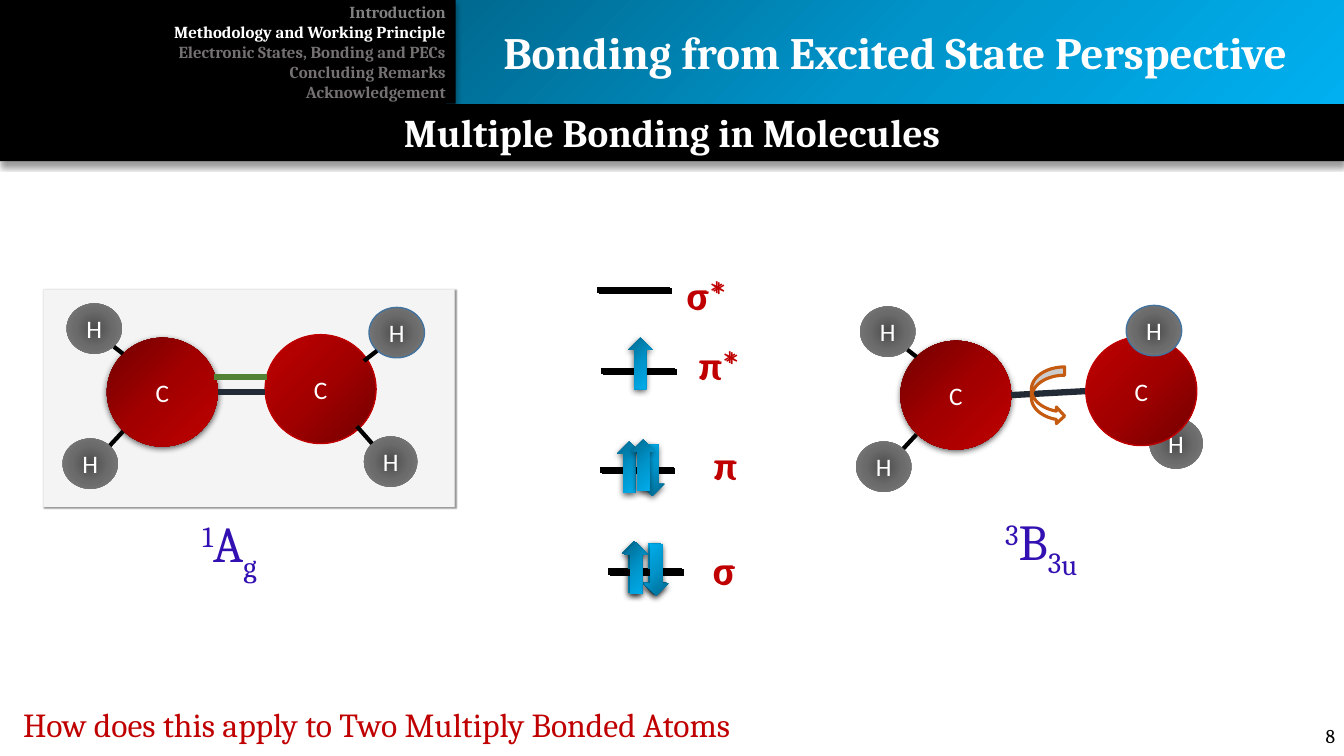
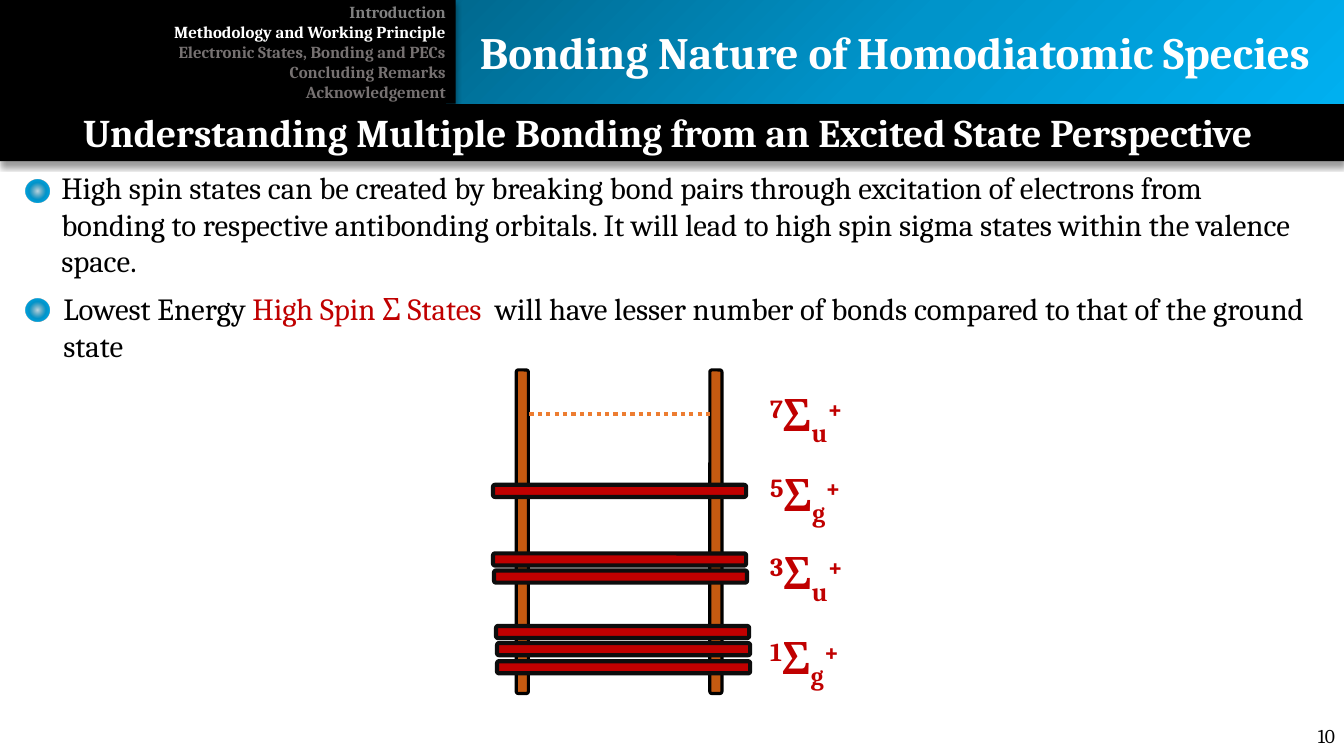
from lxml import etree
from pptx import Presentation
from pptx.dml.color import RGBColor
from pptx.enum import dml, shapes, text
from pptx.oxml import ns
from pptx.util import Inches, Pt

KIND = shapes.MSO_SHAPE
LEFT, MID, RIGHT = text.PP_ALIGN.LEFT, text.PP_ALIGN.CENTER, text.PP_ALIGN.RIGHT
SERIF, SANS = "Cambria", "Calibri"
BLACK, WHITE, RED, RUST, INK = "000000", "FFFFFF", "C00000", "C55A11", "3310B2"
SLATE, GREEN, ORANGE, STEEL = "222A35", "548235", "ED7D31", "43739E"
BLUES = ("00688E", "0094CA", "00B0F0")
REDS = ("720000", "A20000", "C00000")
GREYS = ("4C4C4C", "6B6B6B", "808080")
SLANT = '<a:lin ang="2700000" scaled="1"/>'
CENTRE = ('<a:path path="circle"><a:fillToRect l="50000" t="50000" '
          'r="50000" b="50000"/></a:path>')
CORNER = '<a:path path="circle"><a:fillToRect l="100000" t="100000"/></a:path>'
# Shadows: opacity %, blur pt, distance pt, angle
DEEP, SOFT, EDGE = (40, 4, 3, 90), (63, 4.5, 1.5, 90), (40, 1, 1, 45)
NAV = (("Introduction", "808080"),
       ("Methodology and Working Principle", WHITE),
       ("Electronic States, Bonding and PECs", "767171"),
       ("Concluding Remarks", "767171"),
       ("Acknowledgement", "767171"))


def rgb(code):
    return RGBColor.from_string(code)


def node(tag, body, attrs=""):
    """Build a drawing element from its inner XML."""
    return etree.fromstring(
        f'<a:{tag} {ns.nsdecls("a")} {attrs}>{body}</a:{tag}>')


class Deck:
    """Holds the shared style and the slide being drawn."""

    def __init__(self):
        self.prs = Presentation()
        self.prs.slide_width = Inches(13.33)
        self.prs.slide_height = Inches(7.5)
        self.slide = None

    def start(self, title, topic, page):
        """Add a slide with its bands, outline and page number."""
        self.slide = self.prs.slides.add_slide(self.prs.slide_layouts[6])
        band = self.shape(KIND.RECTANGLE, (0, 1.02, 13.33, 0.58), BLACK, shade=DEEP)
        self.letter(band, topic, 28, WHITE, bold=True, align=MID)
        head = self.shape(KIND.RECTANGLE, (4.43, 0, 8.9, 1.03), BLUES, shade=DEEP)
        self.letter(head, title, 32, WHITE, bold=True, align=MID)
        nav = self.shape(KIND.RECTANGLE, (0, 0, 4.52, 1.03), BLACK, shade=DEEP)
        self.letter(nav, "\n".join(name for name, _ in NAV), 12, WHITE,
                    bold=True, align=RIGHT)
        for para, (_, tone) in zip(nav.text_frame.paragraphs, NAV):
            para.runs[0].font.color.rgb = rgb(tone)
        foot = self.label((12.44, 7.1, 0.9, 0.4), str(page), 14, BLACK, align=RIGHT)
        foot.text_frame.vertical_anchor = text.MSO_ANCHOR.MIDDLE

    def shape(self, kind, box, fill, line=None, width=1, shade=None, flow=SLANT):
        """Add a preset shape; a tuple of colours as fill makes a gradient."""
        item = self.slide.shapes.add_shape(kind, *map(Inches, box))
        item.shadow.inherit = False
        if isinstance(fill, tuple):
            self.blend(item, fill, flow)
        else:
            item.fill.solid()
            item.fill.fore_color.rgb = rgb(fill)
        if line:
            item.line.color.rgb = rgb(line)
            item.line.width = Pt(width)
        else:
            item.line.fill.background()
        if shade:
            self.shade(item, *shade)
        return item

    def blend(self, item, tones, flow):
        """Fill with evenly spaced stops; a stop may be (colour, opacity %)."""
        stops = ""
        for i, tone in enumerate(tones):
            code, part = tone if isinstance(tone, tuple) else (tone, 100)
            stops += (f'<a:gs pos="{i * 50000}"><a:srgbClr val="{code}">'
                      f'<a:alpha val="{part * 1000}"/></a:srgbClr></a:gs>')
        item.fill.background()
        props = item._element.spPr
        props.replace(props.find(ns.qn("a:noFill")),
                      node("gradFill", f"<a:gsLst>{stops}</a:gsLst>{flow}",
                           'rotWithShape="1"'))

    def shade(self, item, part, blur, dist, angle):
        """Give the shape an outer shadow."""
        attrs = (f'blurRad="{Pt(blur)}" dist="{Pt(dist)}" '
                 f'dir="{angle * 60000}" algn="t" rotWithShape="0"')
        tone = (f'<a:srgbClr val="{BLACK}">'
                f'<a:alpha val="{part * 1000}"/></a:srgbClr>')
        item._element.spPr.find(ns.qn("a:effectLst")).append(
            node("outerShdw", tone, attrs))

    def letter(self, item, words, size, tone, font=SERIF, bold=False, align=LEFT):
        """Set text in one style; words may be a list of (text, baseline %, colour)."""
        frame = item.text_frame
        if isinstance(words, str):
            frame.text = words
        else:
            for part, base, hue in words:
                run = frame.paragraphs[0].add_run()
                run.text = part
                run.font.color.rgb = rgb(hue)
                if base:
                    run._r.get_or_add_rPr().set("baseline", str(base * 1000))
        for para in frame.paragraphs:
            para.alignment = align
            for run in para.runs:
                run.font.name, run.font.size, run.font.bold = font, Pt(size), bold
                if isinstance(words, str):
                    run.font.color.rgb = rgb(tone)

    def label(self, box, words, size, tone, wrap=True, **style):
        item = self.slide.shapes.add_textbox(*map(Inches, box))
        item.text_frame.word_wrap = wrap
        self.letter(item, words, size, tone, **style)
        return item

    def term(self, item, parts, size, tone, bold=False):
        """Set a term symbol from (text, baseline %) parts."""
        self.letter(item, [(*part, tone) for part in parts], size, tone, bold=bold)

    def line(self, x1, y1, x2, y2, tone=BLACK, width=3.0, dash=None):
        item = self.slide.shapes.add_connector(
            shapes.MSO_CONNECTOR.STRAIGHT, *map(Inches, (x1, y1, x2, y2)))
        item.line.color.rgb = rgb(tone)
        item.line.width = Pt(width)
        if dash:
            item.line.dash_style = dash
        item._element.spPr.append(node("effectLst", ""))

    def atom(self, name, x, y, line=None, wide=0.55, shade=None, flow=CENTRE):
        """Draw a carbon or hydrogen ball."""
        wide, high, tones = (1.1, 1.08, REDS) if name == "C" else (wide, 0.5, GREYS)
        ball = self.shape(KIND.OVAL, (x, y, wide, high), tones, line,
                          shade=shade, flow=flow)
        self.letter(ball, name, 18, WHITE, font=SANS, align=MID)

    def half(self, dx, dy):
        """Draw the left CH2 group, moved by dx and dy."""
        self.atom("C", 1.06 + dx, 3.35 + dy, shade=SOFT, flow=SLANT)
        self.atom("H", 0.66 + dx, 3.01 + dy)
        self.atom("H", 0.62 + dx, 4.35 + dy)
        self.line(1.13 + dx, 3.44 + dy, 1.22 + dx, 3.51 + dy)
        self.line(1.09 + dx, 4.42 + dy, 1.22 + dx, 4.28 + dy)

    def spin(self, x, y, down=False):
        """Draw an electron arrow."""
        item = self.shape(KIND.UP_ARROW, (x, y, 0.24, 0.51), BLUES, shade=SOFT)
        item.rotation = 180 if down else 0

    def bar(self, x, y, wide, high, tone, edge, width):
        self.shape(KIND.ROUNDED_RECTANGLE, (x, y, wide, high), tone, edge, width)


def bonds(deck):
    deck.start("Bonding from Excited State Perspective",
               "Multiple Bonding in Molecules", 8)
    deck.label((0.13, 6.93, 8.22, 0.5),
               "How does this apply to Two Multiply Bonded Atoms", 24, RED)

    deck.shape(KIND.RECTANGLE, (0.43, 2.87, 4.08, 2.16), "F4F4F4", shade=EDGE)
    deck.half(0, 0)
    deck.atom("C", 2.63, 3.32, RED, flow=CORNER)
    deck.atom("H", 3.66, 3.05, STEEL)
    deck.atom("H", 3.61, 4.33, wide=0.53)
    deck.line(2.12, 3.74, 2.65, 3.74, GREEN, 4.5)
    deck.line(2.16, 3.89, 2.63, 3.89, SLATE, 4.5)
    deck.line(3.61, 3.58, 3.74, 3.48)
    deck.line(3.69, 4.4, 3.54, 4.23)

    deck.half(7.87, 0.03)
    deck.atom("H", 11.4, 4.15, wide=0.53)
    deck.line(10.03, 3.92, 10.77, 3.88, SLATE, 4.5)
    deck.atom("C", 10.77, 3.34, RED, flow=CORNER)
    deck.atom("H", 11.17, 3.03, STEEL)
    twist = deck.shape(KIND.CURVED_LEFT_ARROW, (10.23, 3.64, 0.33, 0.57),
                       WHITE, RUST, 2.25)
    twist._element.spPr.xfrm.set("flipH", "1")

    for box, parts in (
            ((1.91, 5.08, 1.28, 0.71), (("1", 30), ("A", 0), ("g", -30))),
            ((9.87, 5.06, 1.35, 0.71),
             (("3", 30), ("B", 0), ("3", -25), ("u", -30)))):
        deck.term(deck.shape(KIND.RECTANGLE, box, WHITE), parts, 36, INK)

    levels = (("σ*", 5.92, 2.88, 6.71, 2.63, 0.73),
              ("π*", 5.96, 3.68, 6.83, 3.33, 0.62),
              ("π", 5.95, 4.66, 6.98, 4.32, 0.42),
              ("σ", 6.03, 5.67, 6.97, 5.36, 0.42))
    for dx, dy in ((0, 0), (0.02, 0.01)):
        for name, x, y, left, top, wide in levels:
            deck.line(x + dx, y + dy, x + dx + 0.73, y + dy, width=4.5)
            deck.label((left + dx, top + dy, wide, 0.57), name, 28, RED,
                       wrap=name == "σ*", font=SANS)
        deck.spin(6.17 + dx, 5.37 + dy)
        deck.spin(6.37 + dx, 5.39 + dy, down=True)
    deck.spin(6.35, 4.41, down=True)
    for x, y in ((6.12, 4.38), (6.26, 4.36), (6.23, 3.35)):
        deck.spin(x, y)


def ladder(deck):
    deck.start("Bonding Nature of Homodiatomic Species",
               "Understanding Multiple Bonding from an Excited State Perspective ", 10)
    deck.label((0.51, 1.62, 12.54, 1.21),
               "High spin states can be created by breaking bond pairs through "
               "excitation of electrons from bonding to respective antibonding "
               "orbitals. It will lead to high spin sigma states within the "
               "valence space.", 22, BLACK)
    deck.label((0.53, 2.83, 12.54, 0.84),
               [("Lowest Energy ", 0, BLACK), ("High Spin Σ States  ", 0, RED),
                ("will have lesser number of bonds compared to that of the "
                 "ground state", 0, BLACK)], 22, BLACK)
    for y in (1.78, 2.96):
        deck.shape(KIND.OVAL, (0.25, y, 0.24, 0.23),
                   ((BLUES[0], 26), *BLUES[1:]), flow=CENTRE)

    for x in (5.12, 7.04):
        deck.bar(x, 3.67, 0.12, 3.21, RUST, BLACK, 2.25)
    deck.line(5.25, 4.11, 7.04, 4.11, ORANGE, 3, dml.MSO_LINE.ROUND_DOT)
    states = (("7", "u", 3.79, ()),
              ("5", "g", 4.58, ((4.89, 4.81),)),
              ("3", "u", 5.36, ((4.89, 5.49), (4.9, 5.66))),
              ("1", "g", 6.2, ((4.92, 6.21), (4.93, 6.38), (4.93, 6.56))))
    for spin, sym, top, rungs in states:
        for x, y in rungs:
            deck.bar(x, y, 2.51, 0.12, RED, "0D0D0D", 3)
        note = deck.label((7.54, top, 1.08, 0.64), "", 32, RED)
        deck.term(note, ((spin, 30), ("Σ", 0), (sym, -25), ("+", 30)), 32, RED,
                  bold=True)


def main():
    deck = Deck()
    bonds(deck)
    ladder(deck)
    deck.prs.save("out.pptx")


if __name__ == "__main__":
    main()
